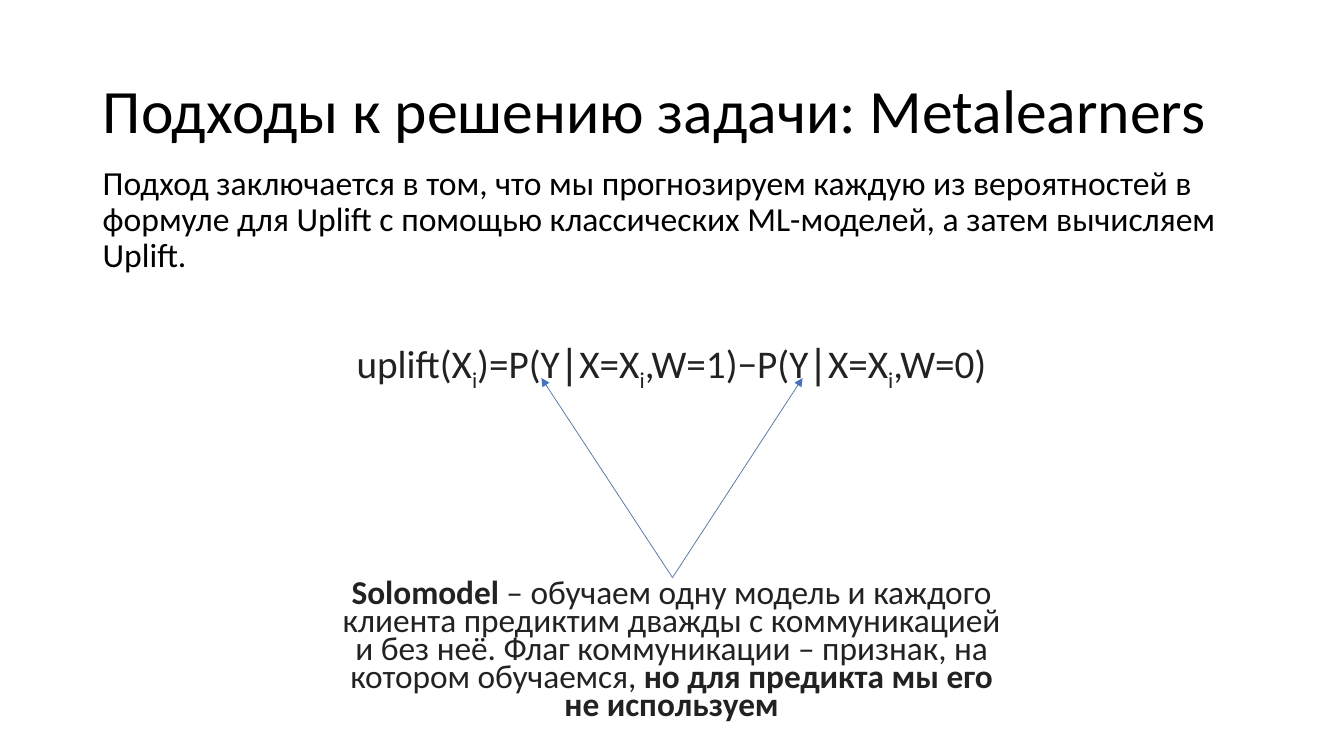
from pptx import Presentation
from pptx.dml.color import RGBColor
from pptx.enum.shapes import MSO_CONNECTOR as Conn
from pptx.enum.text import MSO_ANCHOR as Anchor, MSO_AUTO_SIZE as Fit, PP_ALIGN as Align
from pptx.oxml.ns import qn
from pptx.util import Inches, Pt
from lxml import etree


def color(code):
    return RGBColor.from_string(code)


def write(shape, box, parts, size, ink, align, space=0.9, anchor=Anchor.TOP):
    """Place the shape and fill it with (text, style) runs; style is "", "bold" or "sub"."""
    shape.left, shape.top, shape.width, shape.height = [Inches(n) for n in box]
    frame = shape.text_frame
    frame.word_wrap = True
    frame.auto_size = Fit.NONE
    frame.vertical_anchor = anchor
    para = frame.paragraphs[0]
    props = para._p.get_or_add_pPr()
    props.set("marL", "0")
    props.set("indent", "0")
    etree.SubElement(props, qn("a:buNone"))
    para.alignment = align
    para.line_spacing = space
    para.space_before = Pt(0)
    for text, style in parts:
        run = para.add_run()
        run.text = text
        font = run.font
        font.name = "Calibri"
        font.size = Pt(size)
        font.color.rgb = color(ink)
        font.bold = style == "bold"
        if style == "sub":
            font._element.set("baseline", "-25000")


deck = Presentation()
deck.slide_width, deck.slide_height = Inches(13.33), Inches(7.5)
slide = deck.slides.add_slide(deck.slide_layouts[1])
shapes = slide.shapes

write(shapes.title, (0.92, 0.4, 11.5, 1.45),
      [("Подходы к решению задачи: Metalearners", "")],
      44, "000000", Align.LEFT, anchor=Anchor.MIDDLE)

formula = [("uplift(X", ""), ("i", "sub"), (")=P(Y∣X=X", ""), ("i", "sub"),
           (",W=1)−P(Y∣X=X", ""), ("i", "sub"), (",W=0)", "")]
write(slide.placeholders[1], (3.23, 3.32, 6.86, 0.53), formula, 28, "222222", Align.CENTER)

# Arrows from the model note up to both probabilities
for tip in (5.37, 7.96):
    arrow = shapes.add_connector(Conn.STRAIGHT, Inches(6.67), Inches(5.73),
                                 Inches(tip), Inches(3.75))
    arrow.line.color.rgb = color("4472C4")
    arrow.line.width = Pt(0.5)
    etree.SubElement(arrow.line._get_or_add_ln(), qn("a:tailEnd"), type="triangle")
    etree.SubElement(arrow._element.spPr, qn("a:effectLst"))

intro = [("Подход заключается в том, что мы прогнозируем каждую из вероятностей в формуле "
          "для Uplift с помощью классических ML-моделей, а затем вычисляем Uplift.", "")]
note = [("Solomodel", "bold"),
        (" – обучаем одну модель и каждого клиента предиктим дважды с коммуникацией "
         "и без неё. Флаг коммуникации – признак, на котором обучаемся, ", ""),
        ("но для предикта мы его не используем", "bold")]
for box, parts, size, ink, align, space in (
        ((0.92, 1.6, 11.5, 4.76), intro, 24, "000000", Align.LEFT, 0.9),
        ((3.23, 5.73, 6.86, 1.55), note, 23.8, "222222", Align.CENTER, 0.7)):
    write(shapes.add_textbox(0, 0, 0, 0), box, parts, size, ink, align, space)

deck.save("out.pptx")
